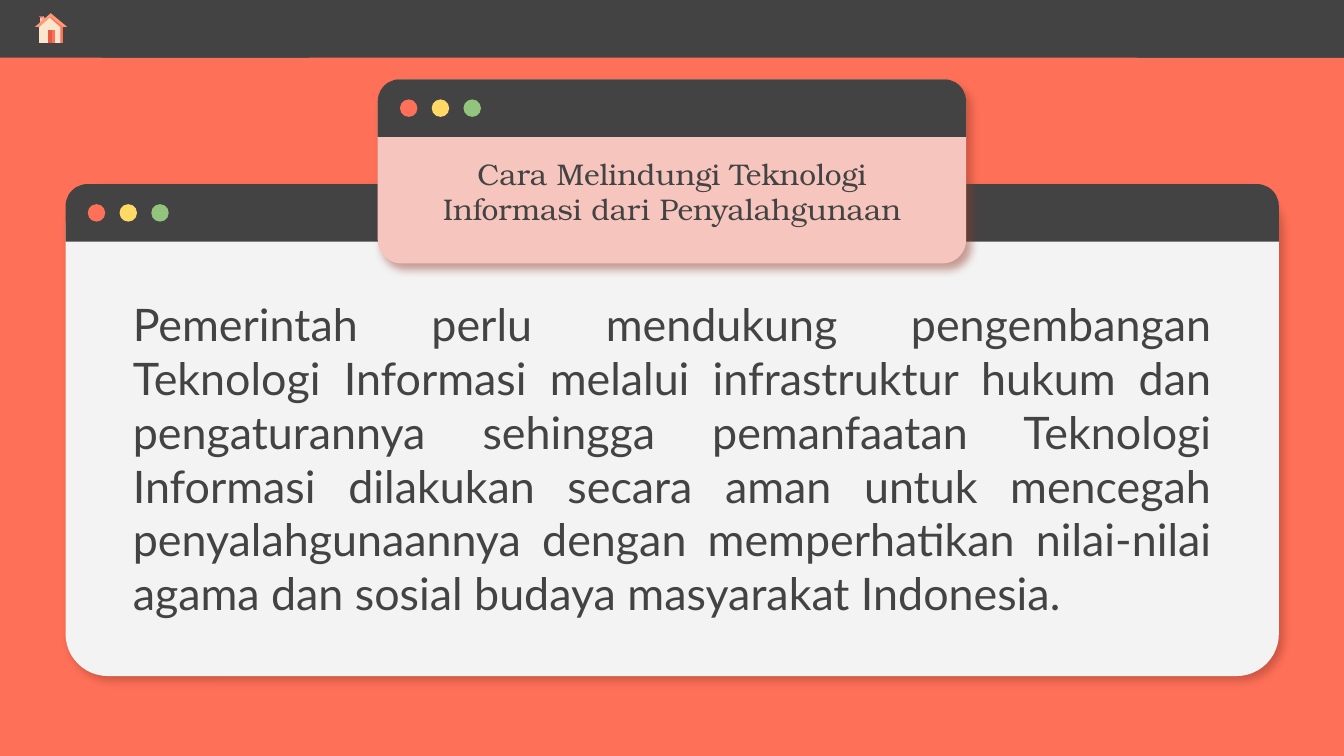
from dataclasses import dataclass

from lxml import etree
from pptx import Presentation
from pptx.dml.color import RGBColor
from pptx.enum.shapes import MSO_SHAPE
from pptx.enum.text import MSO_ANCHOR, MSO_AUTO_SIZE, PP_ALIGN
from pptx.oxml.ns import qn
from pptx.util import Cm, Pt

RECT = MSO_SHAPE.RECTANGLE
ROUND = MSO_SHAPE.ROUNDED_RECTANGLE
TAB = MSO_SHAPE.ROUND_2_SAME_RECTANGLE
DOT = MSO_SHAPE.OVAL
MIDDLE, BOTTOM = MSO_ANCHOR.MIDDLE, MSO_ANCHOR.BOTTOM
CENTER, JUSTIFY = PP_ALIGN.CENTER, PP_ALIGN.JUSTIFY


@dataclass(frozen=True)
class Theme:
    coral: str = "FF7058"
    dark: str = "434343"
    paper: str = "F3F3F3"
    pink: str = "F6C5BE"
    yellow: str = "FFD966"
    green: str = "93C47D"
    shade: str = "963A2A"
    cream: str = "FCE5CD"
    rose: str = "F9ABA0"
    brick: str = "E55A43"
    peach: str = "FF9A75"
    title: tuple = ("TeX Gyre Bonum", 16)
    body: tuple = ("Lato", 24)


THEME = Theme()
WIDTH, HEIGHT = 25.4, 14.29
BAR = 1.09  # height of the top bar and of each window bar

TITLE = "Cara Melindungi Teknologi Informasi dari Penyalahgunaan"
BODY = (
    "Pemerintah perlu mendukung pengembangan Teknologi Informasi melalui "
    "infrastruktur hukum dan pengaturannya sehingga pemanfaatan Teknologi "
    "Informasi dilakukan secara aman untuk mencegah penyalahgunaannya dengan "
    "memperhatikan nilai-nilai agama dan sosial budaya masyarakat Indonesia."
)

# House icon, back to front: colour and corners in hundredths of a cm
HOUSE = [
    (THEME.pink, [(76, 33), (76, 43), (84, 36), (84, 33)]),
    (THEME.rose, [(79, 33), (79, 41), (84, 36), (84, 33)]),
    (THEME.cream, [(96, 30), (74, 51), (74, 81), (119, 81), (119, 51)]),
    (THEME.coral, [(96, 30), (94, 33), (114, 51), (114, 81), (119, 81),
                   (119, 51)]),
    (THEME.brick, [(74, 30), (74, 33), (84, 33), (84, 30)]),
    (THEME.brick, [(90, 56), (90, 81), (104, 81), (104, 56)]),
    (THEME.coral, [(98, 56), (98, 81), (104, 81), (104, 56)]),
    (THEME.peach, [(96, 25), (66, 51), (74, 51), (96, 32), (119, 51),
                   (127, 51)]),
    (THEME.coral, [(81, 30), (81, 33), (84, 33), (84, 30)]),
]


def paint(shape, color):
    shape.shadow.inherit = False
    shape.fill.solid()
    shape.fill.fore_color.rgb = RGBColor.from_string(color)
    shape.line.fill.background()


def add_form(home, kind, box, color, adjust=()):
    shape = home.shapes.add_shape(kind, *map(Cm, box))
    paint(shape, color)
    for i, value in enumerate(adjust):
        shape.adjustments[i] = value
    return shape


def add_shade(shape):
    effects = shape.element.spPr.find(qn("a:effectLst"))
    outer = etree.SubElement(
        effects, qn("a:outerShdw"), blurRad=str(Pt(4.5)), dist=str(Pt(3.8)),
        dir=str(49 * 60000), algn="bl", rotWithShape="0")
    color = etree.SubElement(outer, qn("a:srgbClr"), val=THEME.shade)
    etree.SubElement(color, qn("a:alpha"), val="47000")


def add_window(slide, box, color, curve):
    """Card with a shadow, a dark bar and three round buttons."""
    left, top, width, _ = box
    group = slide.shapes.add_group_shape()
    add_shade(add_form(group, ROUND, box, color, [curve]))
    add_form(group, TAB, (left, top, width, BAR), THEME.dark, [0.38, 0])
    for i, hue in enumerate((THEME.coral, THEME.yellow, THEME.green)):
        spot = (left + 0.42 + 0.6 * i, top + 0.38, 0.33, 0.33)
        add_form(group, DOT, spot, hue)


def add_house(slide):
    group = slide.shapes.add_group_shape()
    for color, (start, *rest) in HOUSE:
        pen = group.shapes.build_freeform(*start, scale=Cm(0.01))
        pen.add_line_segments(rest, close=True)
        paint(pen.convert_to_shape(), color)


def set_text(holder, box, text, font, align, anchor):
    """Fill a placeholder and bring it in front of the windows."""
    for name, value in zip(("left", "top", "width", "height"), box):
        setattr(holder, name, Cm(value))
    frame = holder.text_frame
    frame.text = text
    sides = ("left", "top", "right", "bottom")
    look = {f"margin_{side}": Cm(0.25) for side in sides}
    look.update(word_wrap=True, auto_size=MSO_AUTO_SIZE.NONE,
                vertical_anchor=anchor)
    for name, value in look.items():
        setattr(frame, name, value)
    para = frame.paragraphs[0]
    style = {"alignment": align, "line_spacing": 1.0,
             "space_before": Pt(0), "space_after": Pt(0)}
    for name, value in style.items():
        setattr(para, name, value)
    face, size = font
    run = para.runs[0].font
    for name, value in {"name": face, "size": Pt(size), "bold": False}.items():
        setattr(run, name, value)
    run.color.rgb = RGBColor.from_string(THEME.dark)
    holder.element.getparent().append(holder.element)


def main():
    deck = Presentation()
    deck.slide_width, deck.slide_height = Cm(WIDTH), Cm(HEIGHT)
    slide = deck.slides.add_slide(deck.slide_layouts[0])
    back = slide.background.fill
    back.solid()
    back.fore_color.rgb = RGBColor.from_string(THEME.coral)

    # Windows: the large one for the body, the small one for the title
    add_window(slide, (1.24, 3.48, 22.93, 9.3), THEME.paper, 0.086)
    add_window(slide, (7.14, 1.5, 11.12, 3.48), THEME.pink, 0.128)

    # Text
    title, body = slide.placeholders
    set_text(body, (2.26, 5.92, 20.88, 5.49), BODY, THEME.body,
             JUSTIFY, MIDDLE)
    set_text(title, (7.42, 3.07, 10.57, 1.47), TITLE, THEME.title,
             CENTER, BOTTOM)

    # Top bar with its tabs and the home icon
    for left, width in ((0, WIDTH), (1.93, 3.91), (21.49, 3.91)):
        add_form(slide, RECT, (left, 0, width, BAR), THEME.dark)
    add_house(slide)

    deck.save("out.pptx")


if __name__ == "__main__":
    main()
